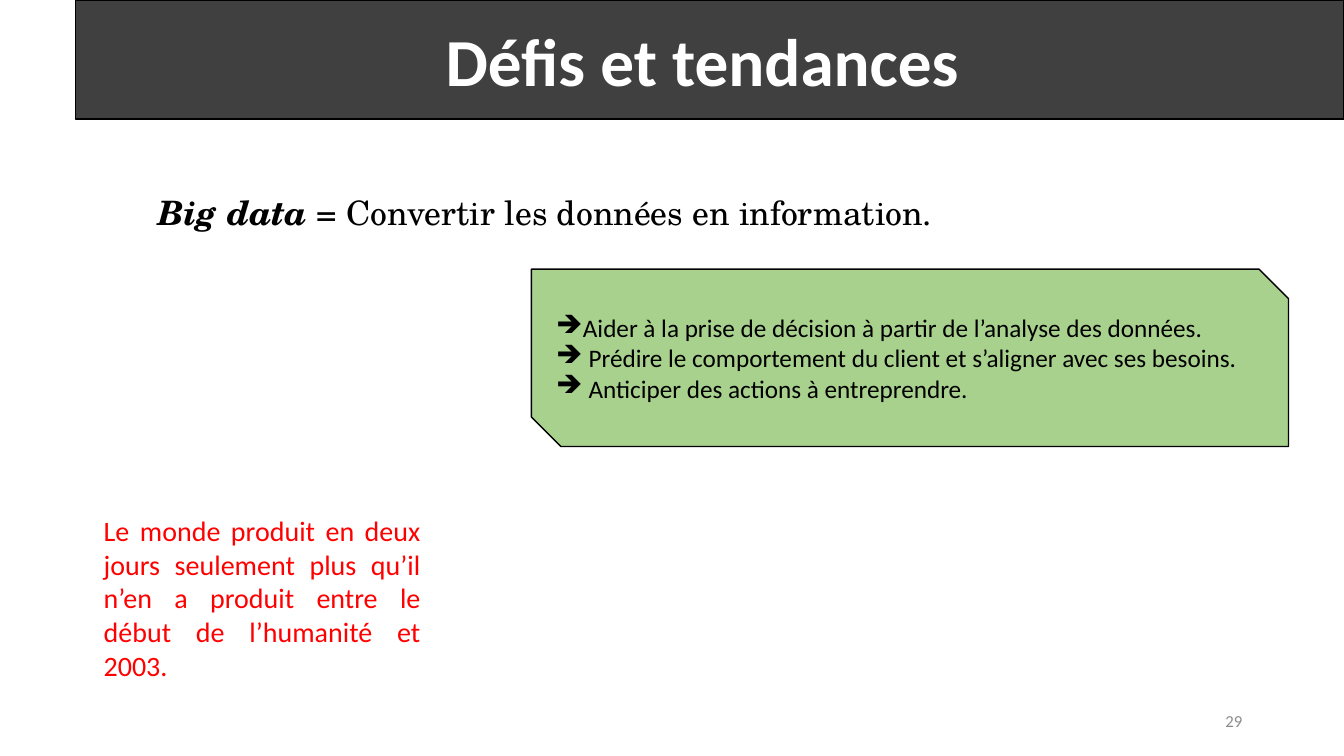
from lxml import etree
from pptx import Presentation
from pptx.dml.color import RGBColor
from pptx.enum.shapes import MSO_SHAPE
from pptx.enum.text import MSO_ANCHOR, MSO_AUTO_SIZE, PP_ALIGN
from pptx.oxml.ns import qn
from pptx.util import Inches, Pt

# Content: each paragraph is a list of (text, bold, italic) spans
TITLE = [[("Défis et tendances ", True, False)]]
DEFINITION = [[("Big data ", True, True),
               ("= Convertir les données en information.", False, False)]]
GOALS = [[(goal, False, False)] for goal in (
    "Aider à la prise de décision à partir de l’analyse des données.",
    " Prédire le comportement du client et s’aligner avec ses besoins.",
    " Anticiper des actions à entreprendre.",
)]
FACT = [[("Le monde produit en deux jours seulement plus qu’il n’en a produit "
          "entre le début de l’humanité et 2003. ", False, False)]]
PAGE_NUMBER = [[("29", False, False)]]

# Places: left, top, width, height in inches
TITLE_AT = (0.75, 0, 12.58, 1.18)
DEFINITION_AT = (1.47, 1.9, 11.31, 0.78)
GOALS_AT = (5.27, 2.67, 7.51, 1.76)
FACT_AT = (0.93, 4.83, 3.34, 2.2)
PAGE_NUMBER_AT = (9.42, 6.95, 3, 0.4)

# Style
BLACK = RGBColor(0x00, 0x00, 0x00)
WHITE = RGBColor(0xFF, 0xFF, 0xFF)
CHARCOAL = RGBColor(0x40, 0x40, 0x40)
GREEN = RGBColor(0xA9, 0xD1, 0x8E)
RED = RGBColor(0xFF, 0x00, 0x00)
GREY = RGBColor(0x8C, 0x8C, 0x8C)
SANS, SERIF = "Calibri", "TeX Gyre Schola"
ARROW = "➔"
LEFT, CENTER, RIGHT, JUSTIFY = (PP_ALIGN.LEFT, PP_ALIGN.CENTER,
                                PP_ALIGN.RIGHT, PP_ALIGN.JUSTIFY)
TOP, MIDDLE = MSO_ANCHOR.TOP, MSO_ANCHOR.MIDDLE


def inches(place):
    return [Inches(value) for value in place]


def move(shape, place):
    shape.left, shape.top, shape.width, shape.height = inches(place)


def paint(shape, fill):
    shape.fill.solid()
    shape.fill.fore_color.rgb = fill
    shape.line.color.rgb = BLACK
    shape.line.width = Pt(1)


def set_bullet(para, bullet):
    """Put the bullet at the left edge, or remove it when there is none."""
    properties = para._p.get_or_add_pPr()
    properties.set("marL", "0")
    properties.set("indent", "0")
    if bullet:
        etree.SubElement(properties, qn("a:buChar")).set("char", bullet)
    else:
        etree.SubElement(properties, qn("a:buNone"))


def write(shape, paragraphs, size, color, font=SANS, align=LEFT, anchor=MIDDLE,
          bullet=None, line_spacing=1.0, space_before=0):
    frame = shape.text_frame
    frame.word_wrap = True
    frame.auto_size = MSO_AUTO_SIZE.NONE
    frame.vertical_anchor = anchor
    for index, spans in enumerate(paragraphs):
        para = frame.add_paragraph() if index else frame.paragraphs[0]
        set_bullet(para, bullet)
        para.alignment = align
        para.line_spacing = line_spacing
        para.space_before = Pt(space_before)
        for text, bold, italic in spans:
            span = para.add_run()
            span.text = text
            span.font.name = font
            span.font.size = Pt(size)
            span.font.color.rgb = color
            span.font.bold = bold
            span.font.italic = italic


def main():
    deck = Presentation()
    deck.slide_width, deck.slide_height = Inches(13.33), Inches(7.5)
    page = deck.slides.add_slide(deck.slide_layouts[1])

    # Title band
    title = page.shapes.title
    move(title, TITLE_AT)
    paint(title, CHARCOAL)
    write(title, TITLE, 48, WHITE, align=CENTER)

    # Definition
    definition = page.placeholders[1]
    move(definition, DEFINITION_AT)
    write(definition, DEFINITION, 24, BLACK, font=SERIF, anchor=TOP,
          line_spacing=0.9, space_before=4.2)

    # Goals box
    goals = page.shapes.add_shape(MSO_SHAPE.SNIP_2_DIAG_RECTANGLE,
                                  *inches(GOALS_AT))
    goals.shadow.inherit = False
    paint(goals, GREEN)
    write(goals, GOALS, 18, BLACK, bullet=ARROW)

    # Fact and page number
    fact = page.shapes.add_textbox(*inches(FACT_AT))
    write(fact, FACT, 20, RED, align=JUSTIFY)
    number = page.shapes.add_textbox(*inches(PAGE_NUMBER_AT))
    write(number, PAGE_NUMBER, 12, GREY, align=RIGHT)

    deck.save("out.pptx")


if __name__ == "__main__":
    main()
